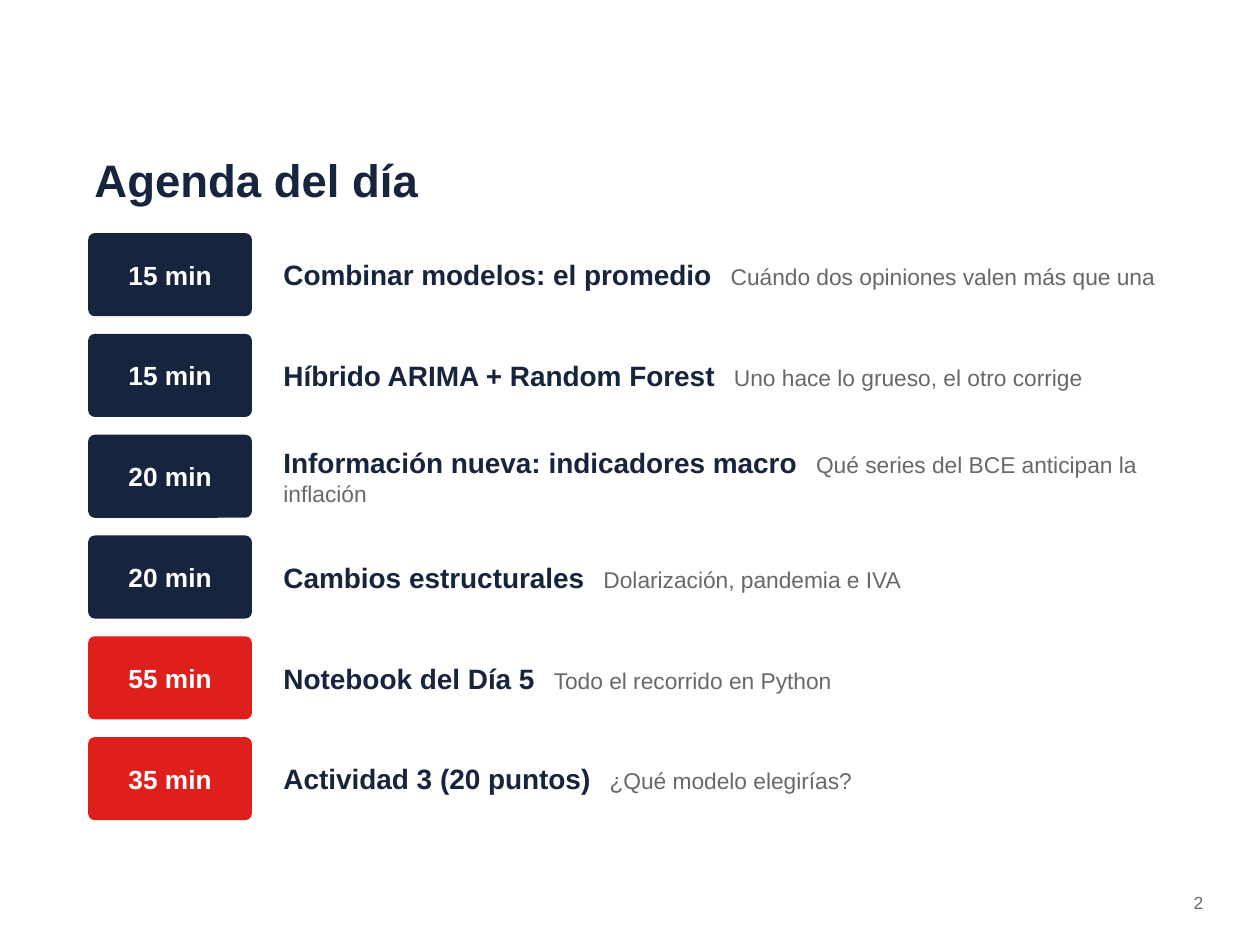
from dataclasses import dataclass

from pptx import Presentation
from pptx.dml.color import RGBColor
from pptx.enum.shapes import MSO_SHAPE
from pptx.enum.text import MSO_ANCHOR, PP_ALIGN
from pptx.util import Pt

PX = 9144  # EMU per px, 100 px to the inch
FONT = "Arial"
LEFT, CENTER, RIGHT = PP_ALIGN.LEFT, PP_ALIGN.CENTER, PP_ALIGN.RIGHT
TOP, MIDDLE = MSO_ANCHOR.TOP, MSO_ANCHOR.MIDDLE
ROUND = MSO_SHAPE.ROUNDED_RECTANGLE
COLORS = {"navy": "16243D", "red": "DF1F1C", "gray": "686867", "white": "FFFFFF"}

# Row grid
ROW_TOP, ROW_STEP, ROW_H = 185, 80, 66
BADGE_X, BADGE_W = 70, 130
TOPIC_X, TOPIC_W = 220, 710
GAP = 720  # extra width of the space between topic and note, in 1/100 pt


@dataclass
class Item:
    time: str
    topic: str
    note: str
    fill: str = "navy"


ITEMS = [
    Item("15 min", "Combinar modelos: el promedio", "Cuándo dos opiniones valen más que una"),
    Item("15 min", "Híbrido ARIMA + Random Forest", "Uno hace lo grueso, el otro corrige"),
    Item("20 min", "Información nueva: indicadores macro", "Qué series del BCE anticipan la inflación"),
    Item("20 min", "Cambios estructurales", "Dolarización, pandemia e IVA"),
    Item("55 min", "Notebook del Día 5", "Todo el recorrido en Python", "red"),
    Item("35 min", "Actividad 3 (20 puntos)", "¿Qué modelo elegirías?", "red"),
]


def px(*lengths: int) -> list[int]:
    return [n * PX for n in lengths]


def color(name: str) -> RGBColor:
    return RGBColor.from_string(COLORS[name])


def write(shape, text: str, *, size: int, ink: str = "navy", bold: bool = False,
          align=LEFT, anchor=MIDDLE):
    """Add a run to the first paragraph of a shape and return it."""
    frame = shape.text_frame
    frame.word_wrap = True
    frame.vertical_anchor = anchor
    frame.margin_left, frame.margin_right = px(5, 5)
    frame.margin_top, frame.margin_bottom = px(3, 3)
    para = frame.paragraphs[0]
    para.alignment = align
    para.space_after = Pt(4)
    run = para.add_run()
    run.text = text
    run.font.name = FONT
    run.font.size = Pt(size)
    run.font.bold = bold
    run.font.color.rgb = color(ink)
    return run


def draw_row(slide, item: Item, top: int) -> None:
    # Time badge
    badge = slide.shapes.add_shape(ROUND, *px(BADGE_X, top, BADGE_W, ROW_H))
    badge.adjustments[0] = 0.08
    badge.shadow.inherit = False
    badge.fill.solid()
    badge.fill.fore_color.rgb = color(item.fill)
    badge.line.fill.background()
    write(badge, item.time, size=15, ink="white", bold=True, align=CENTER)

    # Topic and note, parted by one widened space
    box = slide.shapes.add_textbox(*px(TOPIC_X, top, TOPIC_W, ROW_H))
    write(box, item.topic, size=16, bold=True)
    space = write(box, " ", size=13, ink="gray")
    space._r.get_or_add_rPr().set("spc", str(GAP))
    write(box, item.note, size=13, ink="gray")


def main() -> None:
    deck = Presentation()
    deck.slide_width, deck.slide_height = px(1000, 750)
    slide = deck.slides.add_slide(deck.slide_layouts[6])

    # Title
    title = slide.shapes.add_textbox(*px(70, 105, 860, 75))
    write(title, "Agenda del día", size=26, bold=True)

    # Page number
    page = slide.shapes.add_textbox(*px(900, 705, 60, 30))
    write(page, "2", size=10, ink="gray", align=RIGHT, anchor=TOP)

    # Agenda
    for i, item in enumerate(ITEMS):
        draw_row(slide, item, ROW_TOP + i * ROW_STEP)

    deck.save("out.pptx")


if __name__ == "__main__":
    main()
